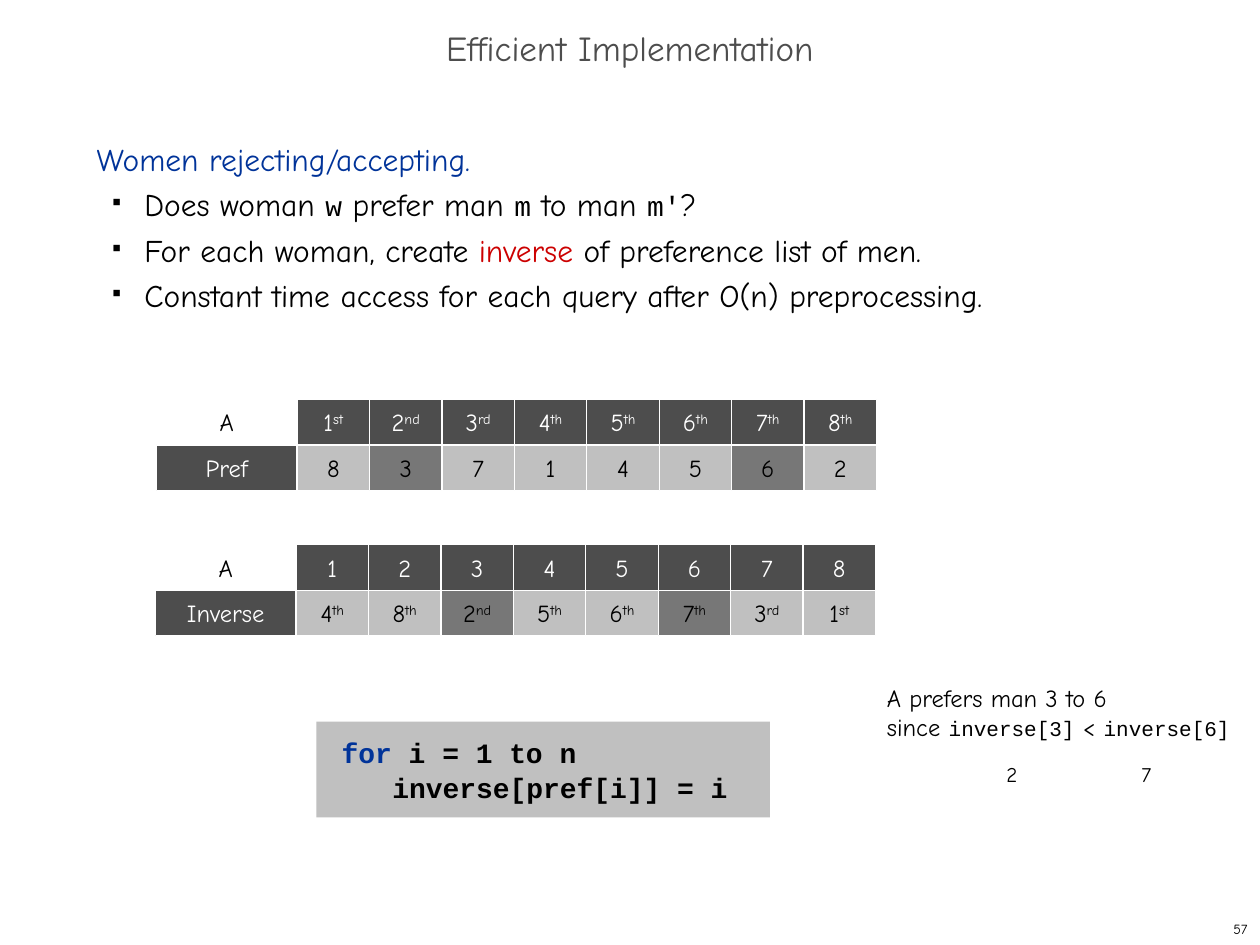
from dataclasses import dataclass
from typing import NamedTuple

from lxml.etree import SubElement
from pptx import Presentation
from pptx.dml.color import RGBColor
from pptx.enum.shapes import MSO_SHAPE as Preset
from pptx.enum.text import MSO_ANCHOR as Anchor, MSO_AUTO_SIZE as AutoSize, PP_ALIGN as Align
from pptx.oxml.ns import qn
from pptx.util import Cm, Pt

SANS, MONO = "Comic Neue", "Courier New"
BLACK, WHITE, BLUE, RED = "000000", "FFFFFF", "003399", "CC0000"
DARK, MEDIUM, LIGHT = "4D4D4D", "777777", "C0C0C0"

CELL_WIDTH, ROW_HEIGHT, LABEL_WIDTH = 1.46, 0.92, 2.84
MIDDLE = {"vertical_anchor": Anchor.MIDDLE}
UNWRAPPED = {"word_wrap": False, "auto_size": AutoSize.SHAPE_TO_FIT_TEXT}
CELL_FRAME = {"vertical_anchor": Anchor.MIDDLE, "word_wrap": False}


class Box(NamedTuple):
    left: float
    top: float
    width: float
    height: float


class Run(NamedTuple):
    text: str
    size: float = 18
    color: str = BLACK
    font: str = SANS
    bold: bool = False
    raised: bool = False


@dataclass
class Line:
    runs: list[Run]
    align: Align = Align.LEFT
    spacing: float | Pt | None = None
    bullet: bool = False
    indent: float = 0


@dataclass
class Grid:
    """A header row over a value row, with a label for each row."""
    left: float
    top: float
    label: str
    headers: list[str]
    values: list[str]
    marked: set[int]


def rgb(color: str) -> RGBColor:
    return RGBColor.from_string(color)


def code(text: str, size: float = 16) -> Run:
    return Run(text, size, font=MONO)


def ordinal_runs(text: str, color: str) -> list[Run]:
    """Split a label such as 2nd into its number and a raised suffix."""
    if text[0].isdigit() and len(text) > 1:
        return [Run(text[0], 14, color), Run(text[1:], 14, color, raised=True)]
    return [Run(text, 14, color)]


def add_bullet(properties) -> None:
    """Give a paragraph a small black square and a hanging indent."""
    properties.set("marL", str(Cm(0.96)))
    properties.set("indent", str(Cm(-0.64)))
    color = SubElement(properties, qn("a:buClr"))
    SubElement(color, qn("a:srgbClr"), val=BLACK)
    SubElement(properties, qn("a:buSzPct"), val="35000")
    SubElement(properties, qn("a:buChar"), char="■")


def write(shape, lines: list[Line], frame_format: dict) -> None:
    frame = shape.text_frame
    for name, value in {"word_wrap": True, **frame_format}.items():
        setattr(frame, name, value)
    for index, line in enumerate(lines):
        paragraph = frame.add_paragraph() if index else frame.paragraphs[0]
        paragraph.alignment = line.align
        paragraph.line_spacing = line.spacing
        properties = paragraph._p.get_or_add_pPr()
        if line.bullet:
            add_bullet(properties)
        elif line.indent:
            properties.set("marL", str(Cm(line.indent)))
        for item in line.runs:
            run = paragraph.add_run()
            run.text = item.text
            font_format = {"name": item.font, "size": Pt(item.size), "bold": item.bold}
            for name, value in font_format.items():
                setattr(run.font, name, value)
            run.font.color.rgb = rgb(item.color)
            if item.raised:
                run._r.get_or_add_rPr().set("baseline", "30000")


def add_text(slide, box: Box, lines: list[Line], frame_format: dict) -> None:
    write(slide.shapes.add_textbox(*map(Cm, box)), lines, frame_format)


def add_rectangle(shapes, box: Box, fill: str | None, line: str | None,
                  lines: list[Line], frame_format: dict) -> None:
    shape = shapes.add_shape(Preset.RECTANGLE, *map(Cm, box))
    shape.shadow.inherit = False
    if fill:
        shape.fill.solid()
        shape.fill.fore_color.rgb = rgb(fill)
    else:
        shape.fill.background()
    if line:
        shape.line.color.rgb = rgb(line)
        shape.line.width = Pt(0.75)
    else:
        shape.line.fill.background()
    write(shape, lines, frame_format)


def add_grid(slide, grid: Grid) -> None:
    shapes = slide.shapes.add_group_shape().shapes

    def add_cell(column: int, row: int, text: str, fill: str | None) -> None:
        """Draw one cell; column 0 holds the row labels."""
        offset = LABEL_WIDTH + (column - 1) * CELL_WIDTH if column else 0
        box = Box(grid.left + offset, grid.top + row * ROW_HEIGHT,
                  CELL_WIDTH if column else LABEL_WIDTH, ROW_HEIGHT)
        color = WHITE if fill == DARK else BLACK
        lines = [Line(ordinal_runs(text, color), Align.CENTER)]
        add_rectangle(shapes, box, fill, WHITE, lines, CELL_FRAME)

    add_cell(0, 0, "A", None)
    add_cell(0, 1, grid.label, DARK)
    for column, (header, value) in enumerate(zip(grid.headers, grid.values), 1):
        add_cell(column, 0, header, DARK)
        add_cell(column, 1, value, MEDIUM if column in grid.marked else LIGHT)


def main() -> None:
    presentation = Presentation()
    presentation.slide_width, presentation.slide_height = Cm(25.4), Cm(19.05)
    slide = presentation.slides.add_slide(presentation.slide_layouts[6])

    add_text(slide, Box(20.12, 18.42, 5.28, 0.63),
             [Line([Run("57", 8)], Align.RIGHT)], CELL_FRAME)
    add_text(slide, Box(0, 0.43, 25.4, 1.27),
             [Line([Run("Efficient Implementation", 20, DARK)], Align.CENTER, 0.7)], MIDDLE)

    bullets = [
        [Run("Does woman "), code("w"), Run(" prefer man "), code("m"),
         Run(" to man "), code("m'"), Run("?")],
        [Run("For each woman, create "), Run("inverse", color=RED),
         Run(" of preference list of men.")],
        [Run("Constant time access for each query after O(n) preprocessing.")],
    ]
    heading = Line([Run("Women rejecting/accepting.", color=BLUE)], spacing=Pt(26))
    add_text(slide, Box(1.7, 2.54, 21.8, 15.04),
             [heading] + [Line(runs, spacing=Pt(26), bullet=True) for runs in bullets], {})

    code_lines = [
        Line([Run("for", 16, BLUE, MONO, True), Run(" i = 1 to n", 16, BLACK, MONO, True)],
             spacing=Pt(20)),
        Line([Run("inverse[pref[i]] = i", 16, BLACK, MONO, True)], spacing=Pt(20), indent=1.02),
    ]
    code_frame = {"margin_left": Cm(0.51), "margin_right": Cm(0.38), "margin_top": Cm(0.25),
                  "margin_bottom": Cm(0.25), "vertical_anchor": Anchor.TOP,
                  "auto_size": AutoSize.SHAPE_TO_FIT_TEXT}
    add_rectangle(slide.shapes, Box(6.38, 14.55, 9.14, 1.93), LIGHT, None,
                  code_lines, code_frame)

    numbers = [str(number) for number in range(1, 9)]
    ordinals = [number + {"1": "st", "2": "nd", "3": "rd"}.get(number, "th")
                for number in numbers]
    preferences = [8, 3, 7, 1, 4, 5, 6, 2]
    inverse = [ordinals[preferences.index(man)] for man in range(1, 9)]
    add_grid(slide, Grid(3.15, 8.05, "Pref", ordinals,
                         [str(man) for man in preferences], {2, 7}))
    add_grid(slide, Grid(3.13, 10.98, "Inverse", numbers, inverse, {3, 6}))

    note = [
        Line([Run("A prefers man 3 to 6", 14)]),
        Line([Run("since ", 14), code("inverse[3]", 12), Run(" < ", 14), code("inverse[6]", 12)]),
    ]
    add_text(slide, Box(17.63, 13.64, 7.49, 1.45), note, UNWRAPPED)
    for left, rank in ((20.04, "2"), (22.76, "7")):
        add_text(slide, Box(left, 15.22, 0.76, 0.86), [Line([Run(rank, 12)])], UNWRAPPED)

    presentation.save("out.pptx")


if __name__ == "__main__":
    main()
